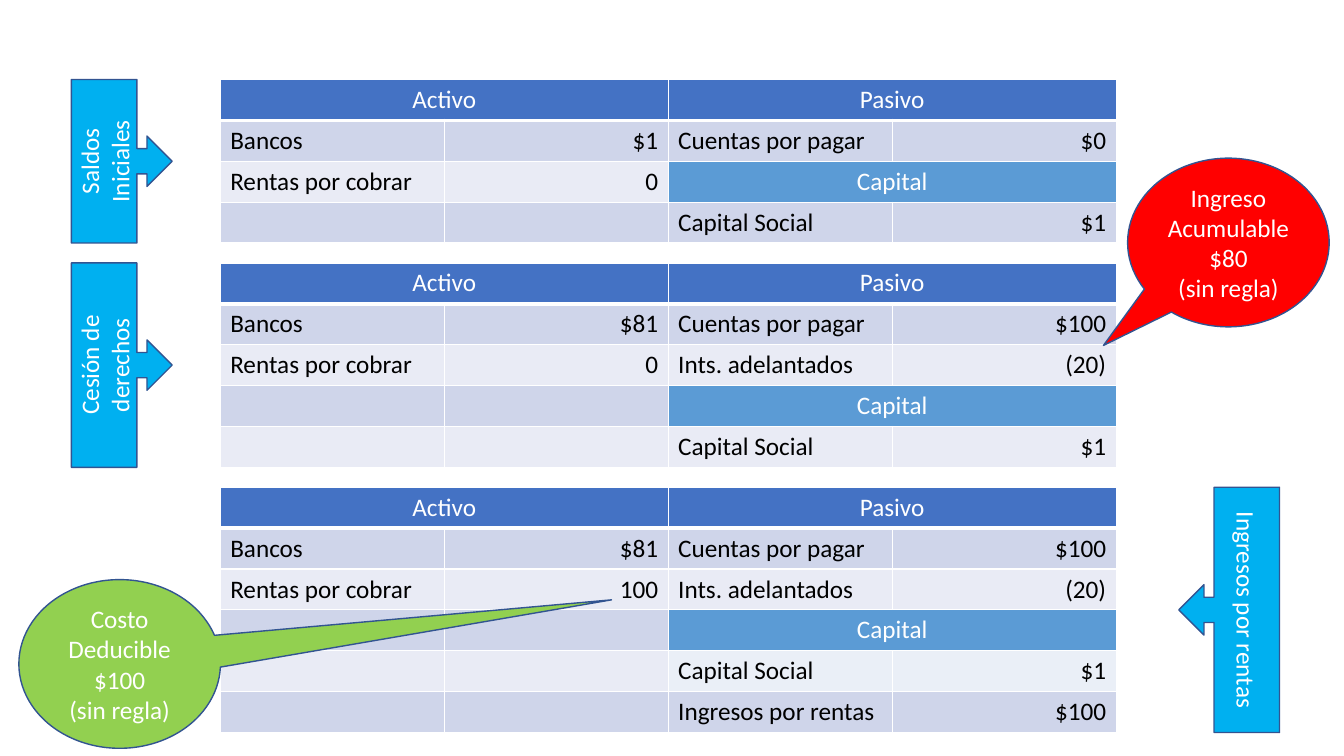
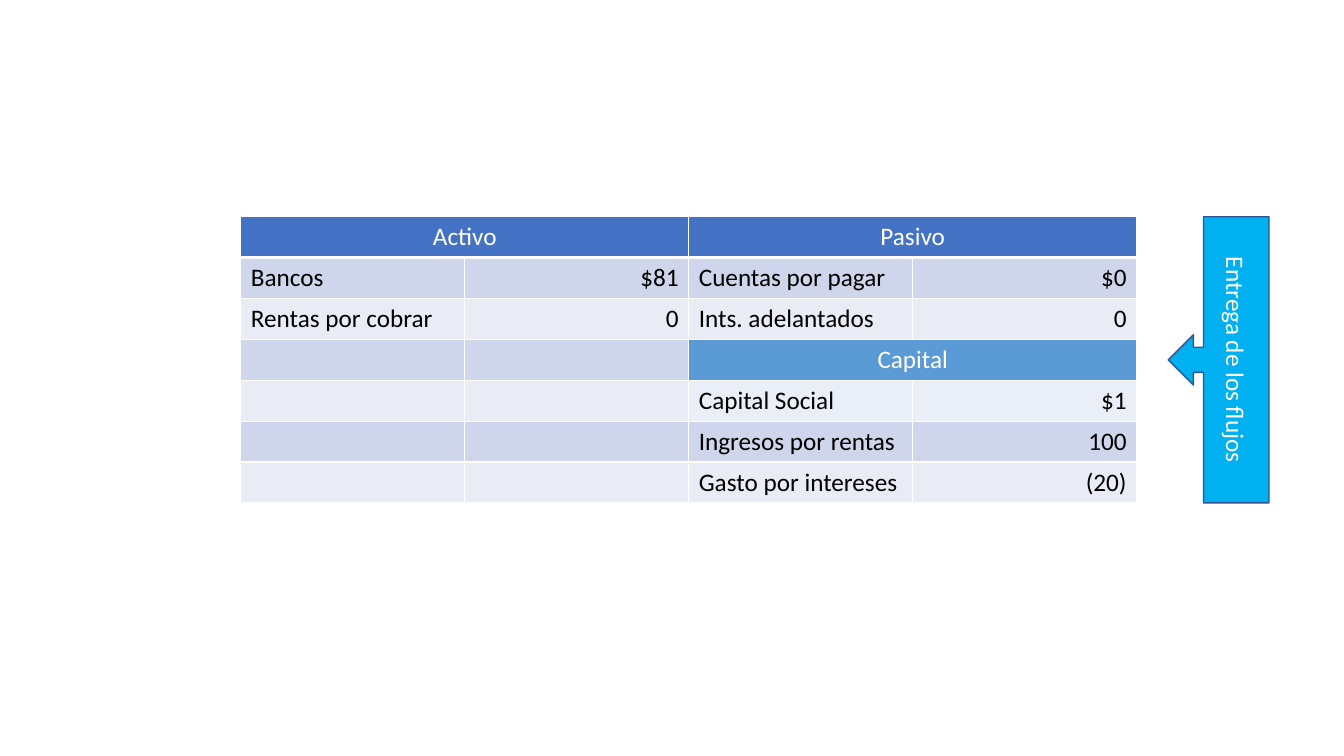
"""Build two slides of balance sheets with their callouts."""
from dataclasses import dataclass

from lxml.etree import SubElement as Sub
from pptx import Presentation
from pptx.dml.color import RGBColor as Rgb
from pptx.enum.shapes import MSO_SHAPE as Form
from pptx.enum.text import MSO_ANCHOR as Anchor, PP_ALIGN as Align
from pptx.oxml.ns import qn
from pptx.util import Pt


@dataclass(frozen=True)
class Theme:
    font: str = "Calibri"
    size: float = 18
    white: str = "FFFFFF"
    black: str = "000000"
    head: str = "4472C4"
    sub: str = "5B9BD5"
    dark: str = "CFD5EA"
    light: str = "E9EBF5"
    pale: str = "EAEFF7"
    tag: str = "00B0F0"
    red: str = "FF0000"
    green: str = "92D050"
    edge: str = "325491"
    col: float = 160
    row: float = 29.2
    rule: float = 1
    thick: float = 3


def put(frame, text, color, align=Align.CENTER, font="Calibri", size=18):
    for i, line in enumerate(text.split("\n")):
        para = frame.add_paragraph() if i else frame.paragraphs[0]
        para.alignment = align
        run = para.add_run()
        run.text = line
        run.font.name = font
        run.font.size = Pt(size)
        run.font.color.rgb = Rgb.from_string(color)


class Deck:
    def __init__(self, theme):
        self.look = theme
        self.file = Presentation()
        self.file.slide_width, self.file.slide_height = Pt(960), Pt(540)
        self.page = None

    def slide(self):
        self.page = self.file.slides.add_slide(self.file.slide_layouts[6])

    def text(self, frame, text, color, align=Align.CENTER):
        put(frame, text, color, align=align, font=self.look.font, size=self.look.size)

    def paint(self, cell, color, base):
        props = cell._tc.get_or_add_tcPr()
        for side in "LRTB":
            width = base if side == "B" else self.look.rule
            line = Sub(props, qn("a:ln" + side), w=str(Pt(width)))
            Sub(Sub(line, qn("a:solidFill")), qn("a:srgbClr"), val=self.look.white)
        cell.fill.solid()
        cell.fill.fore_color.rgb = Rgb.from_string(color)

    def bar(self, grid, row, col, text):
        cell = grid.cell(row, col)
        cell.merge(grid.cell(row, col + 1))
        self.text(cell.text_frame, text, self.look.white)

    def sheet(self, left, top, cash, rents, debts, funds):
        look = self.look
        assets = [("Bancos", cash), ("Rentas por cobrar", rents)]
        claims = [*debts, ("Capital",), *funds]
        split = len(debts) + 1
        count = len(claims) + 1
        grid = self.page.shapes.add_table(
            count, 4, Pt(left), Pt(top), Pt(4 * look.col), Pt(count * look.row)).table
        grid.first_row = grid.horz_banding = False
        for col in grid.columns:
            col.width = Pt(look.col)
        for r, row in enumerate(grid.rows):
            row.height = Pt(look.row)
            for c in range(4):
                color = look.dark if r % 2 else look.light
                if r == 0:
                    color = look.head
                elif c > 1 and r == split:
                    color = look.sub
                elif c > 1 and r == split + 1 and len(funds) > 1:
                    color = look.pale
                self.paint(grid.cell(r, c), color, look.rule if r else look.thick)
        self.bar(grid, 0, 0, "Activo")
        self.bar(grid, 0, 2, "Pasivo")
        self.bar(grid, split, 2, "Capital")
        for start, items in ((0, assets), (2, claims)):
            for r, item in enumerate(items, 1):
                if len(item) == 2:
                    for c, align in enumerate((Align.LEFT, Align.RIGHT)):
                        frame = grid.cell(r, start + c).text_frame
                        self.text(frame, item[c], look.black, align)
        return count * look.row

    def shape(self, form, left, top, width, height, fill, text):
        item = self.page.shapes.add_shape(form, Pt(left), Pt(top), Pt(width), Pt(height))
        item.shadow.inherit = False
        item.fill.solid()
        item.fill.fore_color.rgb = Rgb.from_string(fill)
        item.line.color.rgb = Rgb.from_string(self.look.edge)
        item.line.width = Pt(self.look.rule)
        item.text_frame.word_wrap = True
        item.text_frame.vertical_anchor = Anchor.MIDDLE
        self.text(item.text_frame, text, self.look.white)
        return item

    def tag(self, left, top, height, text, right=False):
        form = Form.RIGHT_ARROW_CALLOUT if right else Form.LEFT_ARROW_CALLOUT
        item = self.shape(form, left, top, 72, height, self.look.tag, text)
        turn = "vert270" if right else "vert"
        item.text_frame._txBody.bodyPr.set("vert", turn)

    def bubble(self, left, top, fill, text, tip):
        item = self.shape(Form.OVAL_CALLOUT, left, top, 144, 120.5, fill, text)
        item.adjustments[0], item.adjustments[1] = tip


def main():
    theme = Theme()
    deck = Deck(theme)
    stock = ("Capital Social", "$1")
    owed = [("Cuentas por pagar", "$100"), ("Ints. adelantados", "(20)")]
    steps = [
        ("Saldos Iniciales", 51, True, "$1", "0", [("Cuentas por pagar", "$0")], [stock]),
        ("Cesión de derechos", 51, True, "$81", "0", owed, [stock]),
        ("Ingresos por rentas", 842, False, "$81", "100", owed,
         [stock, ("Ingresos por rentas", "$100")]),
    ]
    deck.slide()
    top = 56.8
    for name, left, right, *data in steps:
        high = deck.sheet(157.3, top, *data)
        deck.tag(left, top, high, name, right)
        top += high + 14.2
    deck.bubble(805.5, 113, theme.red, "Ingreso Acumulable\n$80\n(sin regla)", (-0.62, 0.61))
    deck.bubble(13.5, 414, theme.green, "Costo Deducible $100\n(sin regla)", (2.44, -0.38))

    deck.slide()
    top = 154.8
    high = deck.sheet(
        172, top, "$81", "0",
        [("Cuentas por pagar", "$0"), ("Ints. adelantados", "0")],
        [stock, ("Ingresos por rentas", "100"), ("Gasto por intereses", "(20)")])
    deck.tag(834.5, top, high, "Entrega de los flujos")
    deck.file.save("out.pptx")


if __name__ == "__main__":
    main()
